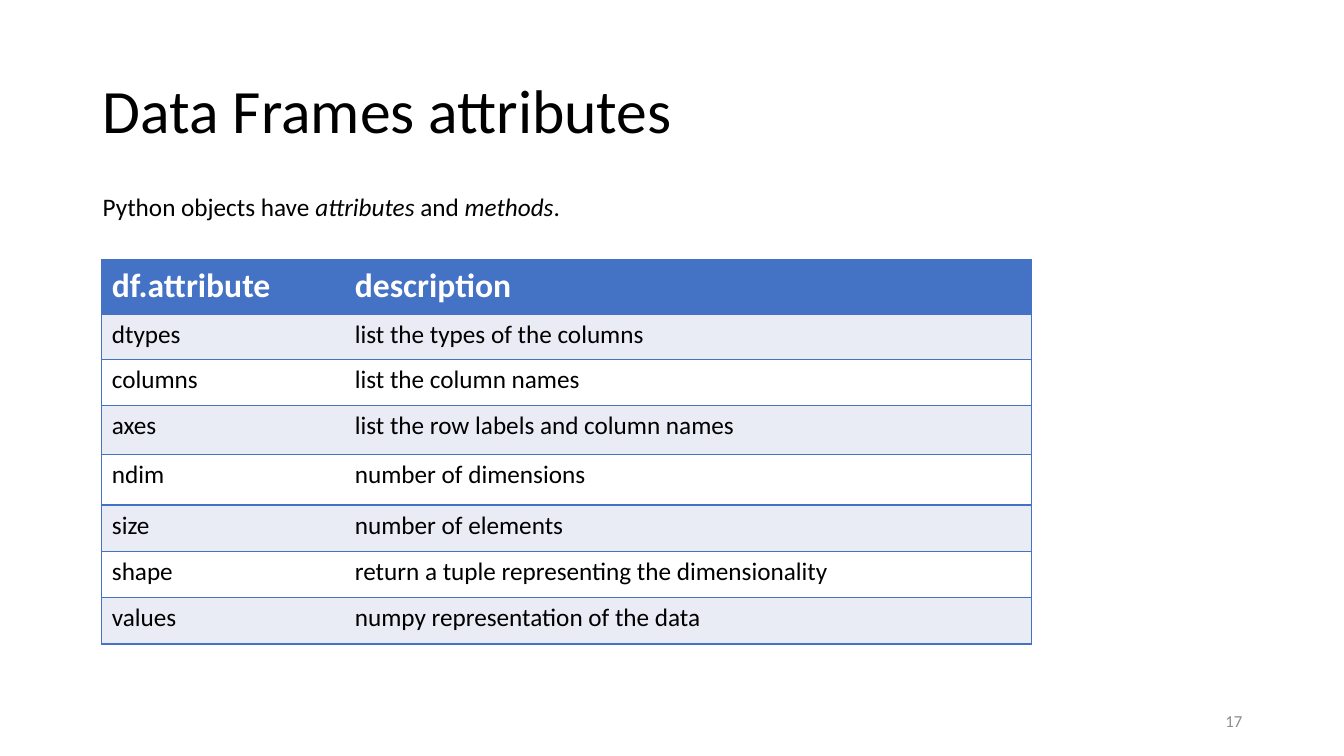
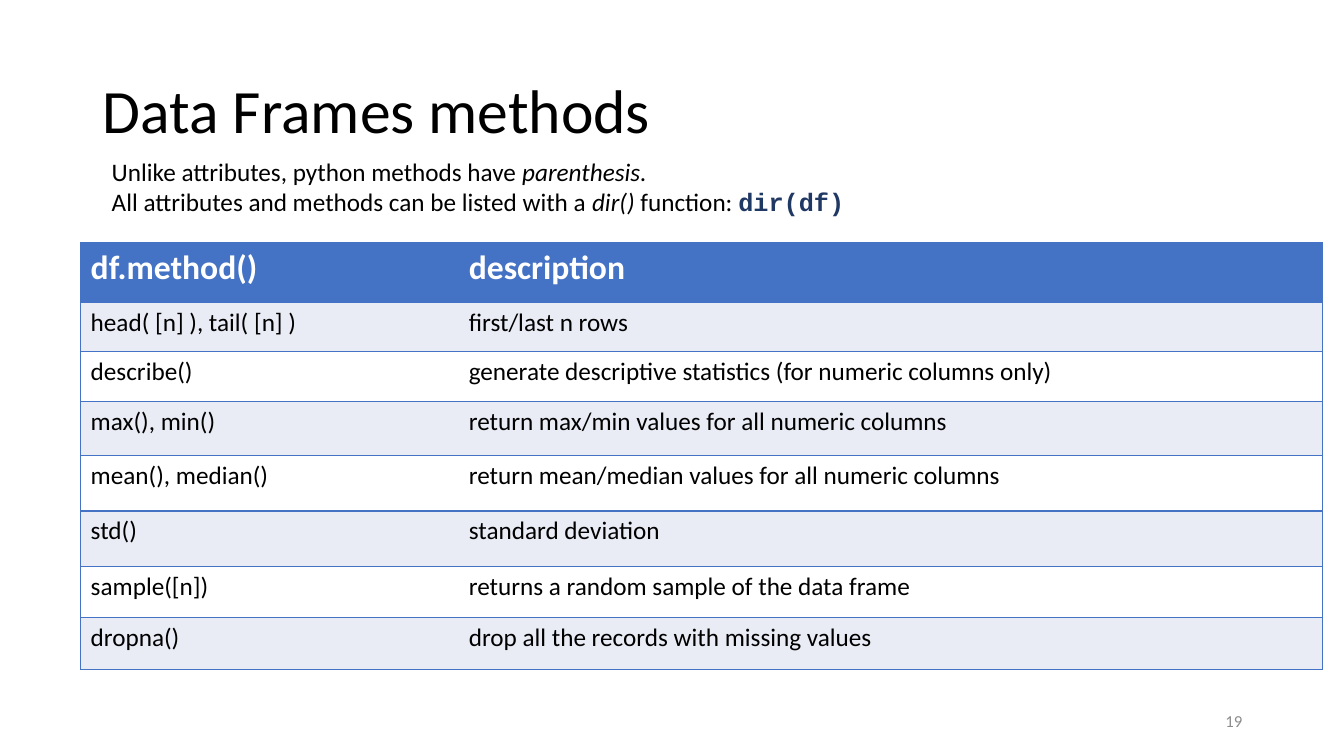
from dataclasses import dataclass

from lxml import etree
from pptx import Presentation
from pptx.dml.color import RGBColor
from pptx.enum import text as text_enum
from pptx.oxml import ns
from pptx.util import Inches, Pt


@dataclass(frozen=True)
class Theme:
    font: str = "Calibri"
    code_font: str = "Courier New"
    ink: str = "000000"
    muted: str = "8C8C8C"
    code: str = "203864"
    accent: str = "4472C4"
    band: str = "E9EBF5"
    white: str = "FFFFFF"
    title_size: int = 44
    header_size: int = 24
    body_size: int = 18
    number_size: int = 12
    border: int = 1


THEME = Theme()
ITALIC = {"italic": True}
CODE = {"font": THEME.code_font, "color": THEME.code, "bold": True}

# Content: each intro paragraph is a list of (text, format) spans
SLIDES = [
    {
        "title": "Data Frames attributes",
        "number": "17",
        "intro": [[("Python objects have ", {}), ("attributes", ITALIC),
                   (" and ", {}), ("methods", ITALIC), (".", {})]],
        "intro_box": (0.92, 1.85, 8.19, 0.4),
        "table_at": (1.01, 2.58),
        "columns": (2.41, 6.81),
        "heights": (0.54, 0.45, 0.45, 0.49, 0.5, 0.46, 0.46, 0.46),
        "rows": [
            ("df.attribute", "description"),
            ("dtypes", "list the types of the columns"),
            ("columns", "list the column names"),
            ("axes", "list the row labels and column names"),
            ("ndim", "number of dimensions"),
            ("size", "number of elements"),
            ("shape", "return a tuple representing the dimensionality"),
            ("values", "numpy representation of the data"),
        ],
    },
    {
        "title": "Data Frames methods",
        "number": "19",
        "intro": [
            [("Unlike attributes, python methods have ", {}),
             ("parenthesis.", ITALIC)],
            [("All attributes and methods can be listed with a ", {}),
             ("dir() ", ITALIC), ("function: ", {}), ("dir(df)", CODE)],
        ],
        "intro_box": (1.01, 1.5, 8.19, 0.71),
        "table_at": (0.8, 2.41),
        "columns": (3.75, 8.57),
        "heights": (0.59, 0.49, 0.49, 0.54, 0.55, 0.55, 0.51, 0.51),
        "rows": [
            ("df.method()", "description"),
            ("head( [n] ), tail( [n] )", "first/last n rows"),
            ("describe()",
             "generate descriptive statistics (for numeric columns only)"),
            ("max(), min()", "return max/min values for all numeric columns"),
            ("mean(), median()",
             "return mean/median values for all numeric columns"),
            ("std()", "standard deviation"),
            ("sample([n])", "returns a random sample of the data frame"),
            ("dropna()", "drop all the records with missing values"),
        ],
    },
]


# Text
def add_span(para, text, *, size=THEME.body_size, color=THEME.ink,
             font=THEME.font, bold=False, italic=False):
    span = para.add_run()
    span.text = text
    span.font.name = font
    span.font.size = Pt(size)
    span.font.bold = bold
    span.font.italic = italic
    span.font.color.rgb = RGBColor.from_string(color)


def add_text(page, bounds, paragraphs, *, anchor=text_enum.MSO_ANCHOR.TOP,
             align=text_enum.PP_ALIGN.LEFT, spacing=1.0):
    frame = page.shapes.add_textbox(*map(Inches, bounds)).text_frame
    frame.word_wrap = True
    frame.vertical_anchor = anchor
    for index, spans in enumerate(paragraphs):
        para = frame.add_paragraph() if index else frame.paragraphs[0]
        para.alignment = align
        para.line_spacing = spacing
        for text, style in spans:
            add_span(para, text, **style)


# Table
def set_borders(cell, visible):
    properties = cell._tc.get_or_add_tcPr()
    for side in "LRTB":
        line = etree.SubElement(properties, ns.qn(f"a:ln{side}"),
                                w=str(Pt(THEME.border)))
        if side in visible:
            fill = etree.SubElement(line, ns.qn("a:solidFill"))
            etree.SubElement(fill, ns.qn("a:srgbClr"), val=THEME.accent)
        else:
            etree.SubElement(line, ns.qn("a:noFill"))


def add_table(page, content):
    rows, columns, heights = (content[key] for key in ("rows", "columns", "heights"))
    bounds = (*content["table_at"], sum(columns), sum(heights))
    table = page.shapes.add_table(len(rows), len(columns),
                                  *map(Inches, bounds)).table
    for column, width in zip(table.columns, columns):
        column.width = Inches(width)
    for row_index, (row, height) in enumerate(zip(rows, heights)):
        table.rows[row_index].height = Inches(height)
        if row_index == 0:
            fill = THEME.accent
            style = {"size": THEME.header_size, "color": THEME.white, "bold": True}
        else:
            fill = THEME.band if row_index % 2 else THEME.white
            style = {}
        for column_index, text in enumerate(row):
            cell = table.cell(row_index, column_index)
            set_borders(cell, "RTB" if column_index else "LTB")
            cell.fill.solid()
            cell.fill.fore_color.rgb = RGBColor.from_string(fill)
            add_span(cell.text_frame.paragraphs[0], text, **style)


# Slide frame shared by all pages
def add_page(deck, content):
    page = deck.slides.add_slide(deck.slide_layouts[6])
    middle = text_enum.MSO_ANCHOR.MIDDLE
    add_text(page, (0.92, 0.4, 11.5, 1.45),
             [[(content["title"], {"size": THEME.title_size})]],
             anchor=middle, spacing=0.9)
    number_style = {"size": THEME.number_size, "color": THEME.muted}
    add_text(page, (9.42, 6.95, 3, 0.4), [[(content["number"], number_style)]],
             anchor=middle, align=text_enum.PP_ALIGN.RIGHT)
    add_table(page, content)
    add_text(page, content["intro_box"], content["intro"])


def main():
    deck = Presentation()
    deck.slide_width, deck.slide_height = Inches(13.33), Inches(7.5)
    for content in SLIDES:
        add_page(deck, content)
    deck.save("out.pptx")


if __name__ == "__main__":
    main()
